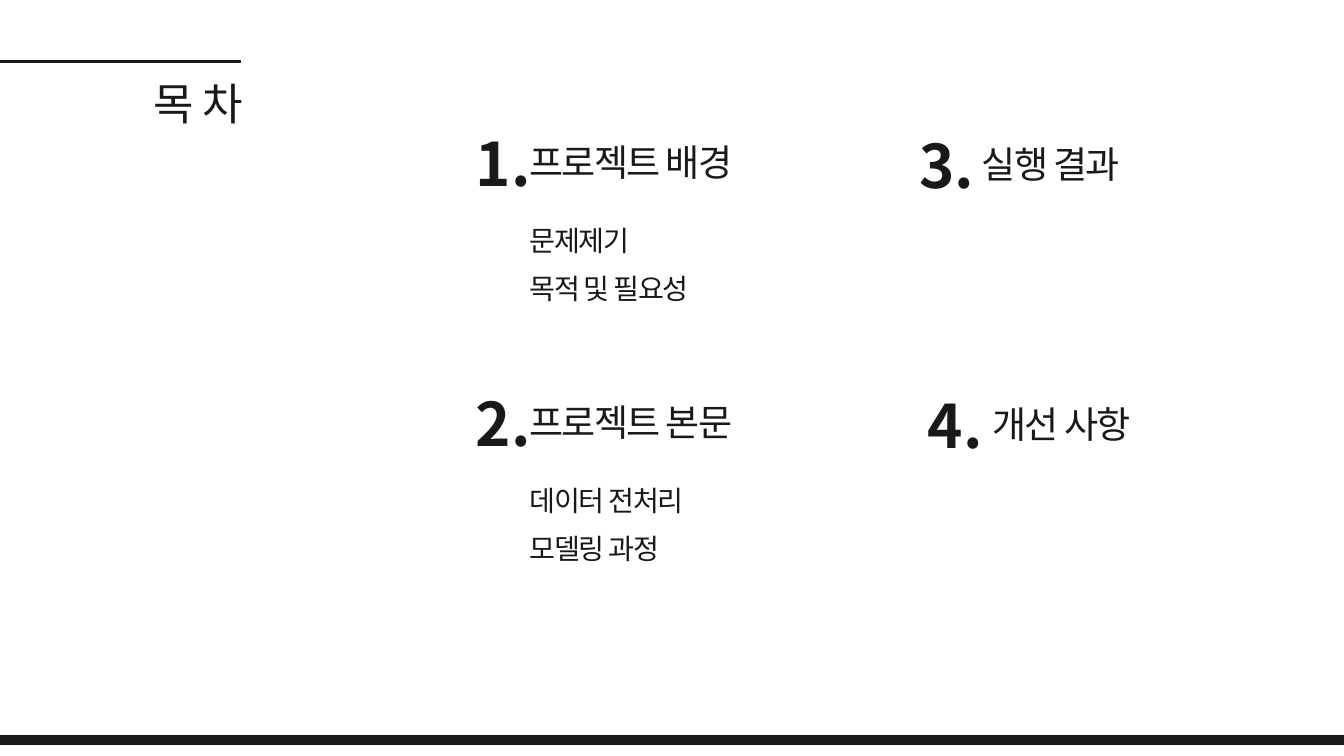
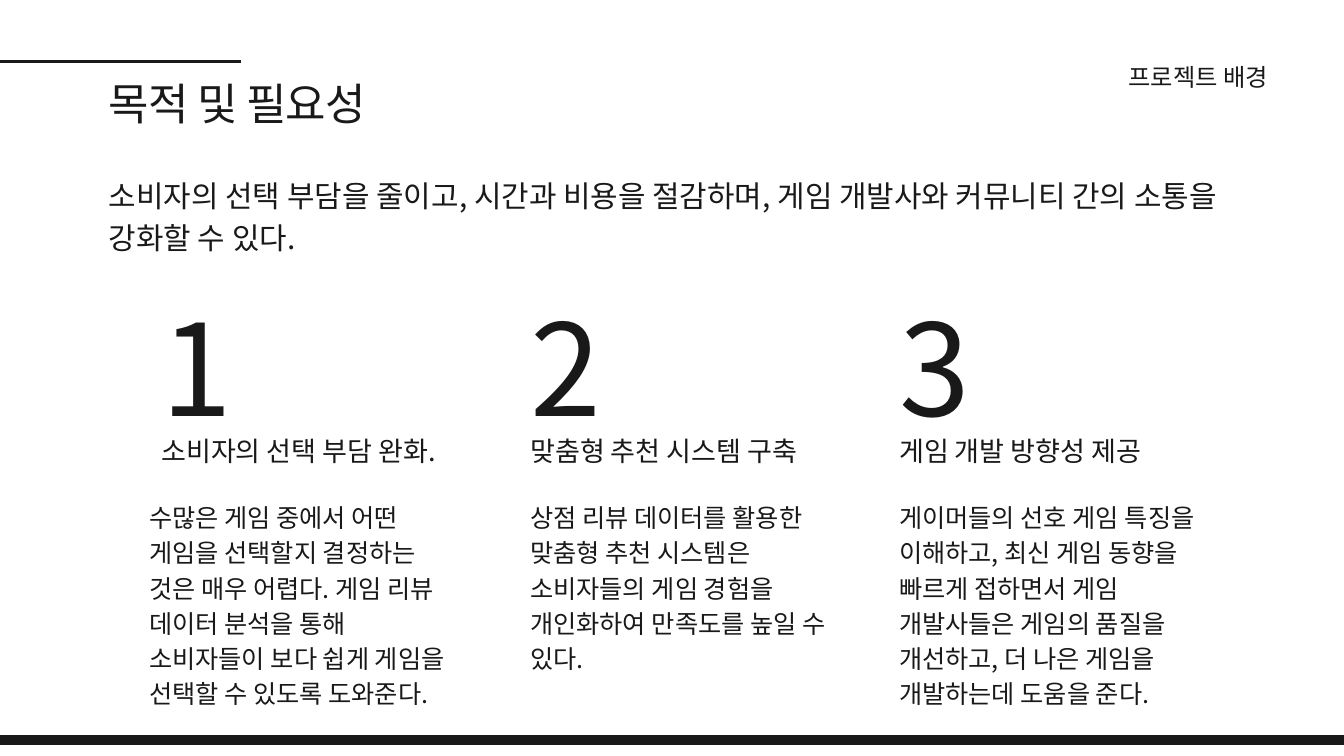
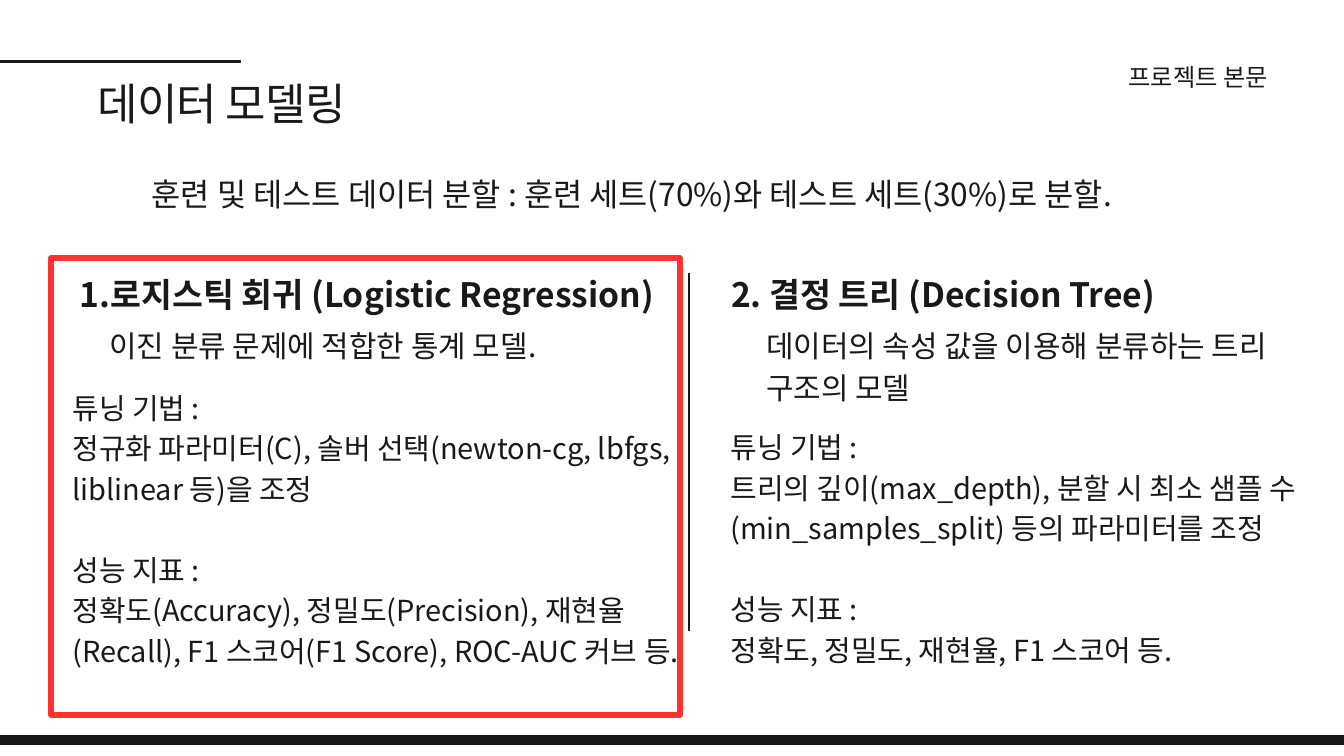
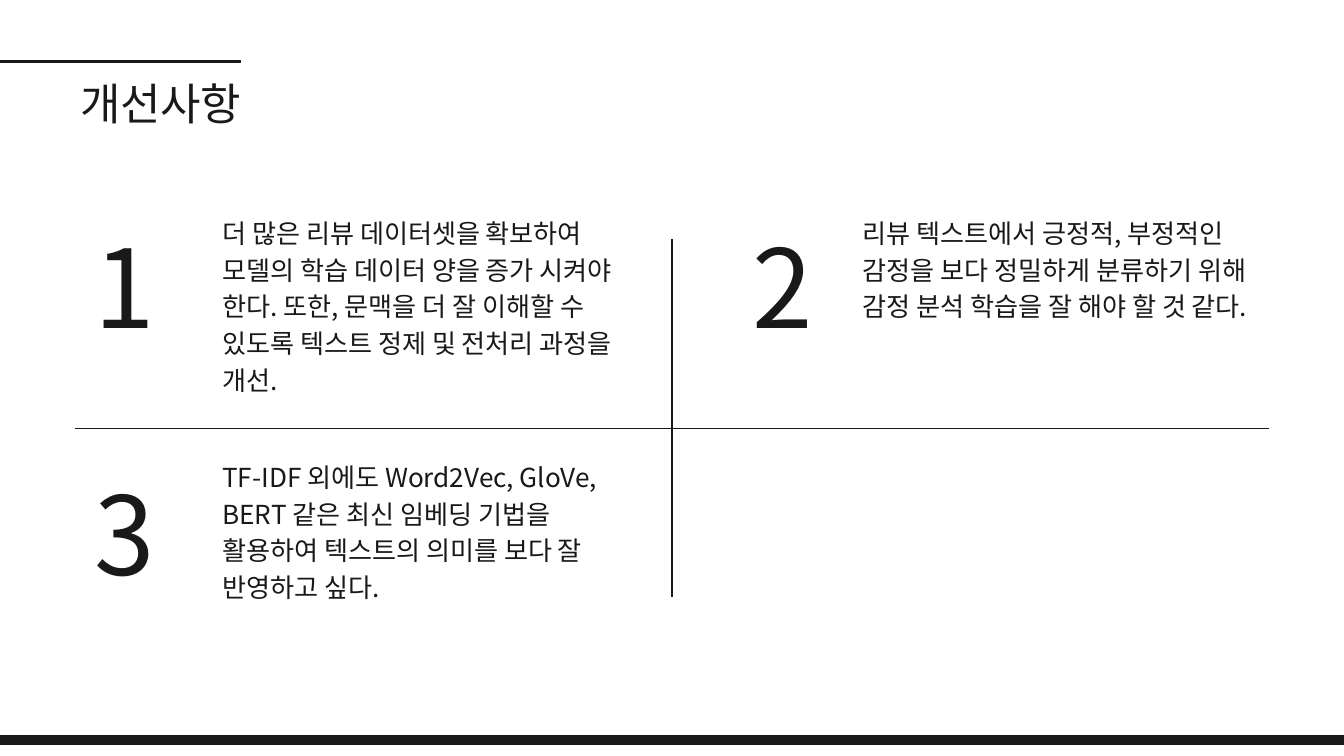
from lxml import etree
from pptx import Presentation
from pptx.dml.color import RGBColor
from pptx.enum.shapes import MSO_CONNECTOR, MSO_SHAPE
from pptx.enum.text import MSO_ANCHOR, MSO_AUTO_SIZE, PP_ALIGN
from pptx.oxml.ns import qn
from pptx.util import Inches, Pt

WIDTH, HEIGHT = 20, 11.25
FONT = "Noto Sans CJK KR"
INK = RGBColor(0x19, 0x19, 0x19)
RED = RGBColor(0xFF, 0x31, 0x31)
LEADING = 1.4
TITLE_ONLY, TWO_CONTENT = 5, 3

# Agenda: number, heading, sub-items, row, number left, heading left, heading top
AGENDA_ROW = 3.88
AGENDA = [
    ("1.", "프로젝트 배경", ["문제제기", "목적 및 필요성"], 0, 7.08, 7.88, 1.96),
    ("2.", "프로젝트 본문", ["데이터 전처리", "모델링 과정"], 1, 7.08, 7.88, 1.96),
    ("3.", "실행 결과", [], 0, 13.68, 14.61, 1.99),
    ("4.", "개선 사항", [], 1, 13.81, 14.77, 1.99),
]

PURPOSE = ("소비자의 선택 부담을 줄이고, 시간과 비용을 절감하며, "
           "게임 개발사와 커뮤니티 간의 소통을 강화할 수 있다.")
# Goals: heading, explanation, explanation's shift to the left
GOAL_LEFT, GOAL_STEP, GOAL_WIDTH = 2.4, 5.49, 4.4
GOALS = [
    ("소비자의 선택 부담 완화.",
     "수많은 게임 중에서 어떤 게임을 선택할지 결정하는 것은 매우 어렵다. 게임 리뷰 "
     "데이터 분석을 통해 소비자들이 보다 쉽게 게임을 선택할 수 있도록 도와준다.", 0.18),
    ("맞춤형 추천 시스템 구축",
     "상점 리뷰 데이터를 활용한 맞춤형 추천 시스템은 소비자들의 게임 경험을 "
     "개인화하여 만족도를 높일 수 있다.", 0),
    ("게임 개발 방향성 제공",
     "게이머들의 선호 게임 특징을 이해하고, 최신 게임 동향을 빠르게 접하면서 게임 "
     "개발사들은 게임의 품질을 개선하고, 더 나은 게임을 개발하는데 도움을 준다.", 0),
]

SPLIT = "훈련 및 테스트 데이터 분할 : 훈련 세트(70%)와 테스트 세트(30%)로 분할."
TUNING, METRICS = "튜닝 기법 :", "성능 지표 :"
MODELS = [
    dict(heading="로지스틱 회귀 (Logistic Regression)", numbered=True,
         heading_box=(0.76, 3.98, 9.36, 0.69),
         summary="이진 분류 문제에 적합한 통계 모델.", summary_box=(1.63, 4.79, 8.4, 1.21),
         details=[TUNING,
                  "정규화 파라미터(C), 솔버 선택(newton-cg, lbfgs, liblinear 등)을 조정",
                  METRICS,
                  "정확도(Accuracy), 정밀도(Precision), 재현율(Recall), "
                  "F1 스코어(F1 Score), ROC-AUC 커브 등."],
         details_box=(1.08, 5.72, 8.92, 4.74)),
    dict(heading="2. 결정 트리 (Decision Tree)", numbered=False,
         heading_box=(10.88, 3.98, 9, 0.69),
         summary="데이터의 속성 값을 이용해 분류하는 트리 구조의 모델",
         summary_box=(11.4, 4.79, 7.86, 1.21),
         details=[TUNING,
                  "트리의 깊이(max_depth), 분할 시 최소 샘플 수(min_samples_split) "
                  "등의 파라미터를 조정",
                  METRICS,
                  "정확도, 정밀도, 재현율, F1 스코어 등."],
         details_box=(10.87, 6.31, 8.92, 3.55)),
]

# Improvements: text, column, row, text width
IMPROVEMENT_COLUMNS = [(1.4, 3.31), (11.2, 12.84)]   # number left, text left
IMPROVEMENT_ROWS = [(2.94, 3.16), (6.62, 6.79)]      # number top, text top
IMPROVEMENTS = [
    ("더 많은 리뷰 데이터셋을 확보하여 모델의 학습 데이터 양을 증가 시켜야 한다. 또한, "
     "문맥을 더 잘 이해할 수 있도록 텍스트 정제 및 전처리 과정을 개선.", 0, 0, 6.11),
    ("리뷰 텍스트에서 긍정적, 부정적인 감정을 보다 정밀하게 분류하기 위해 "
     "감정 분석 학습을 잘 해야 할 것 같다.", 1, 0, 5.77),
    ("TF-IDF 외에도 Word2Vec, GloVe, BERT 같은 최신 임베딩 기법을 활용하여 "
     "텍스트의 의미를 보다 잘 반영하고 싶다.", 0, 1, 5.77),
]


def set_bullet(paragraph, numbered):
    properties = paragraph._p.get_or_add_pPr()
    properties.set("marL", str(Inches(0.85) if numbered else 0))
    properties.set("indent", str(Inches(-0.42) if numbered else 0))
    if numbered:
        bullet = etree.SubElement(properties, qn("a:buAutoNum"))
        bullet.set("type", "arabicPeriod")
    else:
        etree.SubElement(properties, qn("a:buNone"))


def put_text(slide, box, text, size, *, shape=None, bold=False, align=PP_ALIGN.LEFT,
             tracking=0, leading=LEADING, numbered=False, gap_before=None):
    """Write text, one string or a list of paragraphs, in a placeholder or a new text box."""
    lengths = [Inches(value) for value in box]
    if shape is None:
        shape = slide.shapes.add_textbox(*lengths)
    else:
        shape.left, shape.top, shape.width, shape.height = lengths
    frame = shape.text_frame
    frame.word_wrap = True
    frame.auto_size = MSO_AUTO_SIZE.NONE
    frame.vertical_anchor = MSO_ANCHOR.TOP
    frame.margin_left = frame.margin_top = frame.margin_right = frame.margin_bottom = 0
    lines = [text] if isinstance(text, str) else text
    for index, line in enumerate(lines):
        paragraph = frame.paragraphs[0] if index == 0 else frame.add_paragraph()
        set_bullet(paragraph, numbered)
        paragraph.alignment = align
        paragraph.line_spacing = Pt(round(size * leading, 1))
        paragraph.space_before = Pt(size * leading if line == gap_before else 0)
        run = paragraph.add_run()
        run.text = line
        font = run.font
        font.size, font.bold, font.name = Pt(size), bold, FONT
        font.color.rgb = INK
        properties = run._r.get_or_add_rPr()
        if tracking:
            properties.set("spc", str(round(tracking * 100)))
        for tag in ("a:ea", "a:cs"):
            etree.SubElement(properties, qn(tag)).set("typeface", FONT)


def add_rule(slide, start, end, weight=1.5):
    line = slide.shapes.add_connector(
        MSO_CONNECTOR.STRAIGHT, *(Inches(value) for value in (*start, *end)))
    line.line.color.rgb = INK
    line.line.width = Pt(weight)
    etree.SubElement(line._element.spPr, qn("a:effectLst"))


def add_rectangle(slide, box, color, weight, filled):
    shape = slide.shapes.add_shape(
        MSO_SHAPE.RECTANGLE, *(Inches(value) for value in box))
    shape.shadow.inherit = False
    if filled:
        shape.fill.solid()
        shape.fill.fore_color.rgb = color
    else:
        shape.fill.background()
    shape.line.color.rgb = color
    shape.line.width = Pt(weight)


def start_slide(presentation, layout, title, left, right, section=None):
    """Add a slide with the shared band, title rule, title and section label."""
    slide = presentation.slides.add_slide(presentation.slide_layouts[layout])
    add_rectangle(slide, (-0.32, 10.95, WIDTH + 0.64, 0.13), INK, 1.5, True)
    add_rule(slide, (0, 0.91), (3.58, 0.91), 3)
    put_text(slide, (left, 1.01, right - left, 0.89), title, 47.1,
             shape=slide.shapes.title, align=PP_ALIGN.RIGHT, tracking=-0.7)
    if section:
        put_text(slide, (14.63, 0.85, 4.24, 0.49), section, 26, align=PP_ALIGN.RIGHT)
    return slide


def build_agenda(presentation):
    slide = start_slide(presentation, TWO_CONTENT, "목 차", 1.23, 3.62)
    for number, heading, items, row, number_left, heading_left, first_top in AGENDA:
        top = first_top + row * AGENDA_ROW
        put_text(slide, (number_left, top - 0.26, 0.97, 1.23), number, 64.3, bold=True)
        put_text(slide, (heading_left, top, 3.34, 0.75), heading, 39.7, tracking=-1.8)
        if items:
            put_text(slide, (heading_left, top + 1.15, 2.64, 1.37), items, 30.2,
                     shape=slide.placeholders[row + 1], tracking=-1.4, leading=1.7)


def build_purpose(presentation):
    slide = start_slide(presentation, TITLE_ONLY, "목적 및 필요성", 1.23, 5.45,
                        "프로젝트 배경")
    put_text(slide, (1.62, 2.56, 16.76, 1.21), PURPOSE, 32)
    for index, (heading, explanation, shift) in enumerate(GOALS):
        left = GOAL_LEFT + index * GOAL_STEP
        put_text(slide, (left, 3.92, 1.65, 2.56), str(index + 1), 136.6)
        put_text(slide, (left, 6.39, GOAL_WIDTH, 0.54), heading, 29)
        put_text(slide, (left - shift, 7.4, GOAL_WIDTH + shift, 3.11), explanation, 27)


def build_models(presentation):
    slide = start_slide(presentation, TWO_CONTENT, "데이터 모델링", 0, 5.15,
                        "프로젝트 본문")
    put_text(slide, (2.26, 2.51, 16, 0.65), SPLIT, 34)
    add_rule(slide, (10.25, 9.39), (10.25, 4.07))
    add_rectangle(slide, (0.76, 3.84, 9.36, 6.8), RED, 6, False)
    for index, model in enumerate(MODELS, 1):
        put_text(slide, model["heading_box"], model["heading"], 36, bold=True,
                 numbered=model["numbered"])
        put_text(slide, model["summary_box"], model["summary"], 32)
        put_text(slide, model["details_box"], model["details"], 31,
                 shape=slide.placeholders[index], gap_before=METRICS)


def build_improvements(presentation):
    slide = start_slide(presentation, TITLE_ONLY, "개선사항", 0, 3.58)
    for number, (text, column, row, width) in enumerate(IMPROVEMENTS, 1):
        number_left, text_left = IMPROVEMENT_COLUMNS[column]
        number_top, text_top = IMPROVEMENT_ROWS[row]
        put_text(slide, (number_left, number_top, 1.65, 2.2), str(number), 116.6)
        put_text(slide, (text_left, text_top, width, 2.71), text, 28)
    add_rule(slide, (1.12, 6.38), (WIDTH - 1.12, 6.38))
    add_rule(slide, (WIDTH / 2, 8.88), (WIDTH / 2, 3.56))


def main():
    presentation = Presentation()
    presentation.slide_width = Inches(WIDTH)
    presentation.slide_height = Inches(HEIGHT)
    for build in (build_agenda, build_purpose, build_models, build_improvements):
        build(presentation)
    presentation.save("out.pptx")


if __name__ == "__main__":
    main()
